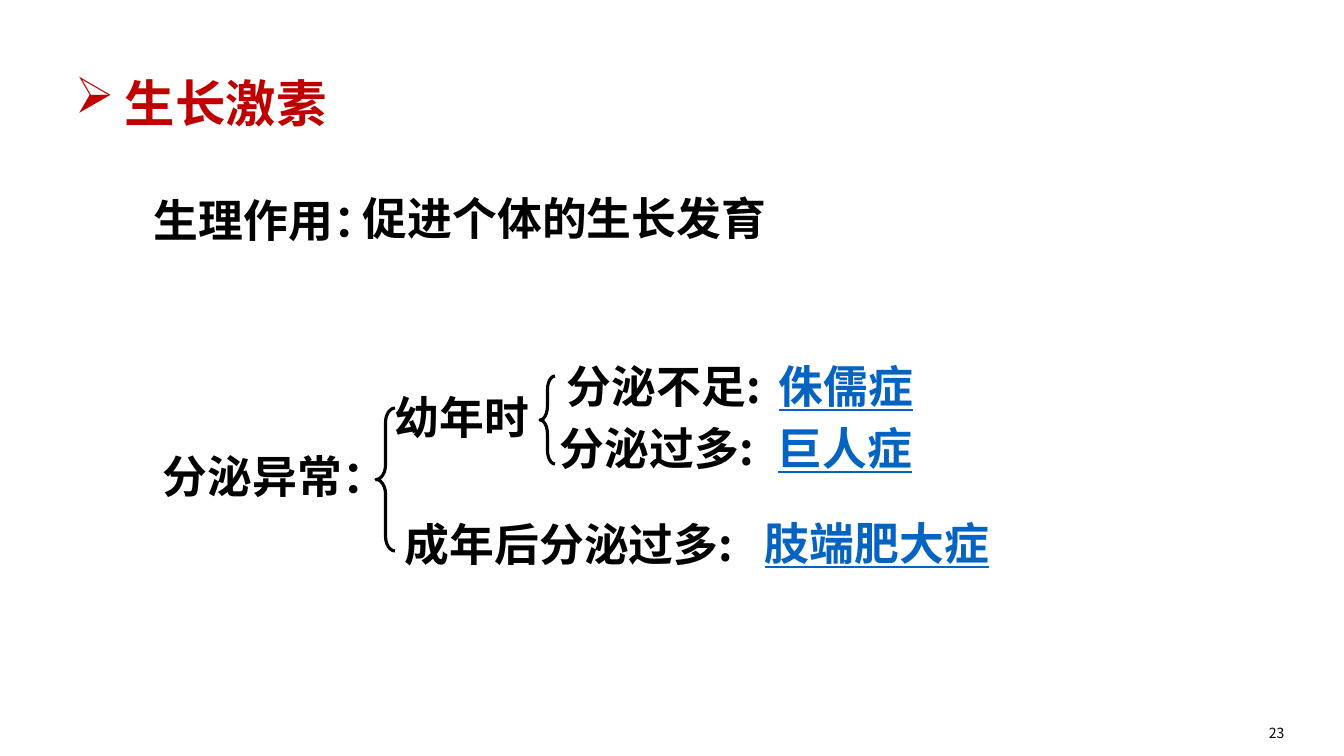
import pptx
import pptx.util
import pptx.dml.color
import pptx.enum.shapes
import pptx.enum.text
import lxml.etree

# Content: text, left, top, width (px)
TITLE = ("生长激素", 65, 66, 433)
LABELS = [
    ("生理作用：", 144, 187, 237),
    ("促进个体的生长发育", 353, 185, 548),
    ("分泌异常：", 153, 443, 237),
    ("幼年时", 385, 384, 179),
    ("分泌不足:", 557, 353, 287),
    ("分泌过多:", 550, 415, 261),
    ("成年后分泌过多:", 395, 511, 403),
]
TERMS = [
    ("侏儒症", 769, 353, 179),
    ("巨人症", 768, 415, 170),
    ("肢端肥大症", 755, 510, 293),
]
PAGE = ("23", 1215, 718, 123)
# Braces: left, top, width, height (px), curl
BRACES = [(540, 376, 15, 88, 0.92), (376, 408, 19, 143, 0.76)]

THEME = {
    "font": "Noto Sans CJK SC",
    "ink": "000000", "red": "C00000", "blue": "0563C1",
    "title": 36, "body": 32, "page": 10, "line": 2.25,
}
SCALE = 914400 / 100.8
ALIGN = pptx.enum.text.PP_ALIGN


def px(n):
    return pptx.util.Emu(round(n * SCALE))


def color(name):
    return pptx.dml.color.RGBColor.from_string(THEME[name])


def write(text, left, top, wide, high=65, size="body", ink="ink",
          bold=True, under=None, align=ALIGN.LEFT, bullet=None):
    box = slide.shapes.add_textbox(px(left), px(top), px(wide), px(high))
    frame = box.text_frame
    frame.word_wrap = True
    frame.vertical_anchor = pptx.enum.text.MSO_ANCHOR.MIDDLE
    para = frame.paragraphs[0]
    para.alignment = align
    run = para.add_run()
    run.text = text
    font = run.font
    font.name = THEME["font"]
    font.size = pptx.util.Pt(THEME[size])
    font.bold = bold
    font.underline = under
    font.color.rgb = color(ink)
    font.language_id = pptx.enum.lang.MSO_LANGUAGE_ID.SIMPLIFIED_CHINESE
    # East Asian typeface
    latin = run._r.rPr.find(pptx.oxml.ns.qn("a:latin"))
    east = lxml.etree.Element(pptx.oxml.ns.qn("a:ea"), typeface=THEME["font"])
    latin.addnext(east)
    if bullet:
        props = para._p.get_or_add_pPr()
        indent = px(50)
        props.set("marL", str(indent))
        props.set("indent", str(-indent))
        lxml.etree.SubElement(props, pptx.oxml.ns.qn("a:buChar"), char=bullet)


def brace(left, top, wide, high, curl):
    kind = pptx.enum.shapes.MSO_SHAPE.LEFT_BRACE
    shape = slide.shapes.add_shape(kind, px(left), px(top), px(wide), px(high))
    shape.adjustments[0] = curl
    shape.shadow.inherit = False
    shape.fill.background()
    shape.line.color.rgb = color("ink")
    shape.line.width = pptx.util.Pt(THEME["line"])


deck = pptx.Presentation()
deck.slide_width, deck.slide_height = px(1344), px(756)
slide = deck.slides.add_slide(deck.slide_layouts[6])

# Heading
write(*TITLE, high=72, size="title", ink="red", bullet="➢")

# Hormone effects and disorders
for label in LABELS:
    write(*label)
for term in TERMS:
    write(*term, ink="blue", under=True)
for item in BRACES:
    brace(*item)

# Page number
write(*PAGE, high=29, size="page", bold=False, align=ALIGN.CENTER)

deck.save("out.pptx")
